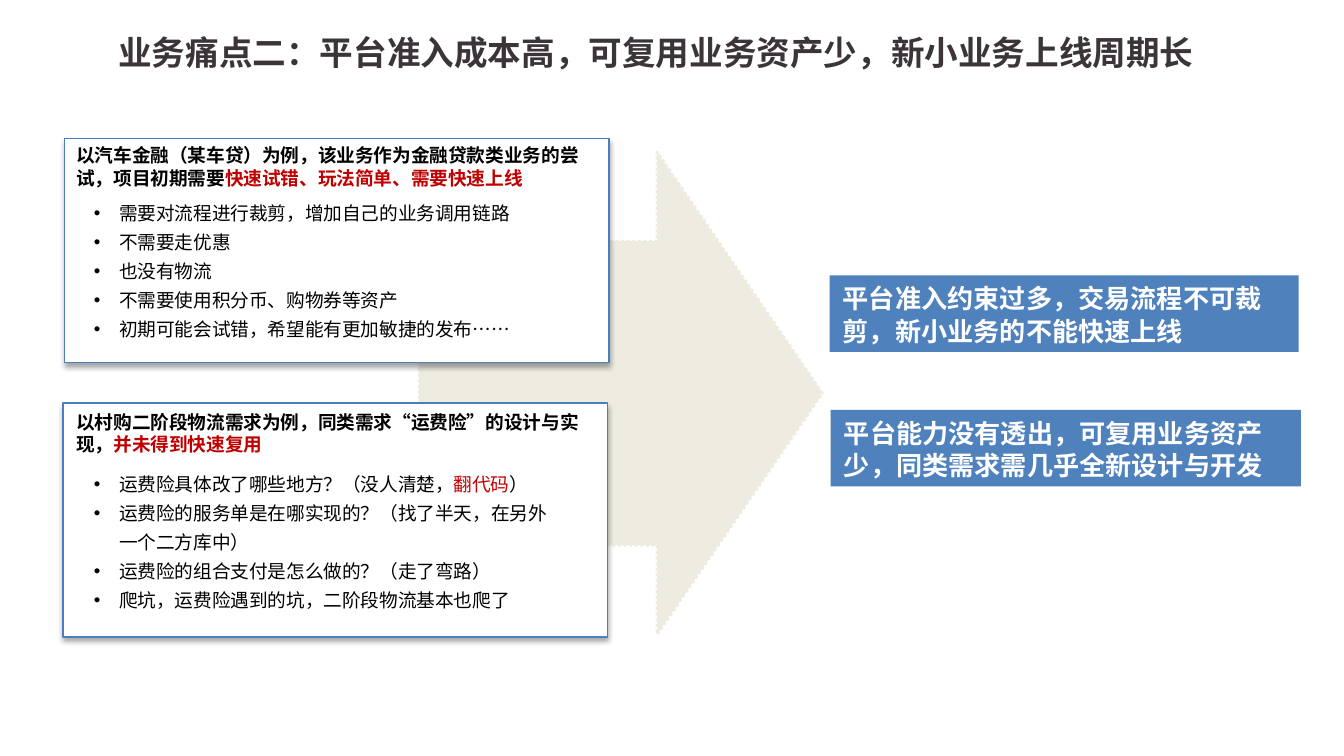
from dataclasses import dataclass

from lxml import etree
from pptx import Presentation
from pptx.dml.color import RGBColor
from pptx.enum.dml import MSO_LINE
from pptx.enum.shapes import MSO_SHAPE
from pptx.enum.text import MSO_ANCHOR, PP_ALIGN
from pptx.oxml.ns import qn
from pptx.util import Pt

RECTANGLE = MSO_SHAPE.RECTANGLE
RIGHT_ARROW = MSO_SHAPE.RIGHT_ARROW
DOTTED = MSO_LINE.ROUND_DOT
TOP = MSO_ANCHOR.TOP
MIDDLE = MSO_ANCHOR.MIDDLE
LEFT = PP_ALIGN.LEFT

FONT = "Noto Sans CJK SC"
BLACK = "000000"
WHITE = "FFFFFF"
RED = "C00000"
BLUE = "4F81BD"
EDGE = "4B7EBC"
BEIGE = "EEECE1"
TITLE_COLOR = "3B3439"
INDENT = 13.5


@dataclass
class Frame:
    left: float
    top: float
    width: float
    height: float


@dataclass
class Span:
    text: str
    color: str = BLACK


@dataclass
class Case:
    panel: Frame
    heading_frame: Frame
    heading: list[Span]
    list_frame: Frame
    items: list[list[Span]]


@dataclass
class Callout:
    frame: Frame
    text: str


CASES = [
    Case(
        Frame(34.6, 74.2, 291.6, 120.2),
        Frame(33.8, 72.7, 291.6, 31.7),
        [
            Span("以汽车金融（某车贷）为例，该业务作为金融贷款类业务的尝试，项目初期需要"),
            Span("快速试错、玩法简单、需要快速上线", RED),
        ],
        Frame(43.2, 100.8, 243.4, 85.7),
        [
            [Span("需要对流程进行裁剪，增加自己的业务调用链路")],
            [Span("不需要走优惠")],
            [Span("也没有物流")],
            [Span("不需要使用积分币、购物券等资产")],
            [Span("初期可能会试错，希望能有更加敏捷的发布……")],
        ],
    ),
    Case(
        Frame(33.8, 216, 291.6, 125.3),
        Frame(33.8, 215.3, 291.6, 31.7),
        [
            Span("以村购二阶段物流需求为例，同类需求“运费险”的设计与实现，"),
            Span("并未得到快速复用", RED),
        ],
        Frame(43.2, 246.2, 265, 85.7),
        [
            [Span("运费险具体改了哪些地方？（没人清楚，"), Span("翻代码", RED), Span("）")],
            [Span("运费险的服务单是在哪实现的？（找了半天，在另外一个二方库中）")],
            [Span("运费险的组合支付是怎么做的？（走了弯路）")],
            [Span("爬坑，运费险遇到的坑，二阶段物流基本也爬了")],
        ],
    ),
]
CALLOUTS = [
    Callout(Frame(444.4, 147.6, 251.3, 41), "平台准入约束过多，交易流程不可裁剪，新小业务的不能快速上线"),
    Callout(Frame(445, 219.6, 252, 41), "平台能力没有透出，可复用业务资产少，同类需求需几乎全新设计与开发"),
]


def rgb(color: str) -> RGBColor:
    return RGBColor.from_string(color)


def place(frame: Frame) -> tuple:
    return Pt(frame.left), Pt(frame.top), Pt(frame.width), Pt(frame.height)


def write(paragraph, spans: list[Span], size: float, bold: bool, spacing) -> None:
    paragraph.alignment = LEFT
    paragraph.line_spacing = spacing
    paragraph.font.name = FONT
    paragraph.font.size = Pt(size)
    paragraph.font.bold = bold
    for span in spans:
        run = paragraph.add_run()
        run.text = span.text
        run.font.color.rgb = rgb(span.color)
        east_asian = etree.SubElement(run.font._element, qn("a:ea"))
        east_asian.set("typeface", FONT)


def add_bullet(paragraph) -> None:
    properties = paragraph._p.get_or_add_pPr()
    properties.set("marL", str(Pt(INDENT)))
    properties.set("indent", str(-Pt(INDENT)))
    font = etree.Element(qn("a:buFont"), typeface="Arial")
    bullet = etree.Element(qn("a:buChar"), char="•")
    spacing = properties.find(qn("a:lnSpc"))
    spacing.addnext(font)
    font.addnext(bullet)


def add_block(shapes, kind, frame: Frame, fill: str):
    block = shapes.add_shape(kind, *place(frame))
    block.shadow.inherit = False
    block.fill.solid()
    block.fill.fore_color.rgb = rgb(fill)
    block.line.fill.background()
    return block


def add_outline(block, color: str, width: float) -> None:
    block.line.color.rgb = rgb(color)
    block.line.width = Pt(width)


def add_shadow(block) -> None:
    effects = block._element.spPr.find(qn("a:effectLst"))
    shadow = etree.SubElement(
        effects, qn("a:outerShdw"), blurRad=str(Pt(3.1)), dist=str(Pt(1.8)),
        dir="5400000", algn="t", rotWithShape="0",
    )
    color = etree.SubElement(shadow, qn("a:srgbClr"), val=BLACK)
    etree.SubElement(color, qn("a:alpha"), val="35000")


def add_text_frame(shapes, frame: Frame):
    text_frame = shapes.add_textbox(*place(frame)).text_frame
    text_frame.word_wrap = True
    return text_frame


def add_case(page, case: Case) -> None:
    group = page.shapes.add_group_shape()
    panel = add_block(group.shapes, RECTANGLE, case.panel, WHITE)
    add_outline(panel, EDGE, 0.75)
    add_shadow(panel)
    heading = add_text_frame(group.shapes, case.heading_frame)
    heading.margin_top = Pt(4.6)
    write(heading.paragraphs[0], case.heading, 10, True, Pt(12))

    bullets = add_text_frame(page.shapes, case.list_frame)
    for index, spans in enumerate(case.items):
        paragraph = bullets.add_paragraph() if index else bullets.paragraphs[0]
        write(paragraph, spans, 10, False, Pt(15.6))
        add_bullet(paragraph)


def add_callout(page, callout: Callout) -> None:
    box = add_block(page.shapes, RECTANGLE, callout.frame, BLUE)
    box.text_frame.word_wrap = True
    box.text_frame.vertical_anchor = TOP
    write(box.text_frame.paragraphs[0], [Span(callout.text, WHITE)], 14, True, Pt(17.2))


def add_title(page, text: str) -> None:
    title = page.shapes.title
    title.left, title.top, title.width, title.height = place(Frame(56.2, 13, 653.8, 32.4))
    title.text_frame.vertical_anchor = MIDDLE
    write(title.text_frame.paragraphs[0], [Span(text, TITLE_COLOR)], 18, True, 0.9)


def add_arrow(page) -> None:
    arrow = add_block(page.shapes, RIGHT_ARROW, Frame(224.6, 81.4, 216, 258.5), BEIGE)
    arrow.adjustments[0] = 0.63
    arrow.adjustments[1] = 0.41
    add_outline(arrow, BEIGE, 1.5)
    arrow.line.dash_style = DOTTED


def main() -> None:
    deck = Presentation()
    deck.slide_width, deck.slide_height = Pt(720), Pt(405)
    page = deck.slides.add_slide(deck.slide_layouts.get_by_name("Title Only"))
    add_title(page, "业务痛点二：平台准入成本高，可复用业务资产少，新小业务上线周期长")
    add_arrow(page)
    for case in CASES:
        add_case(page, case)
    for callout in CALLOUTS:
        add_callout(page, callout)
    deck.save("out.pptx")


if __name__ == "__main__":
    main()
